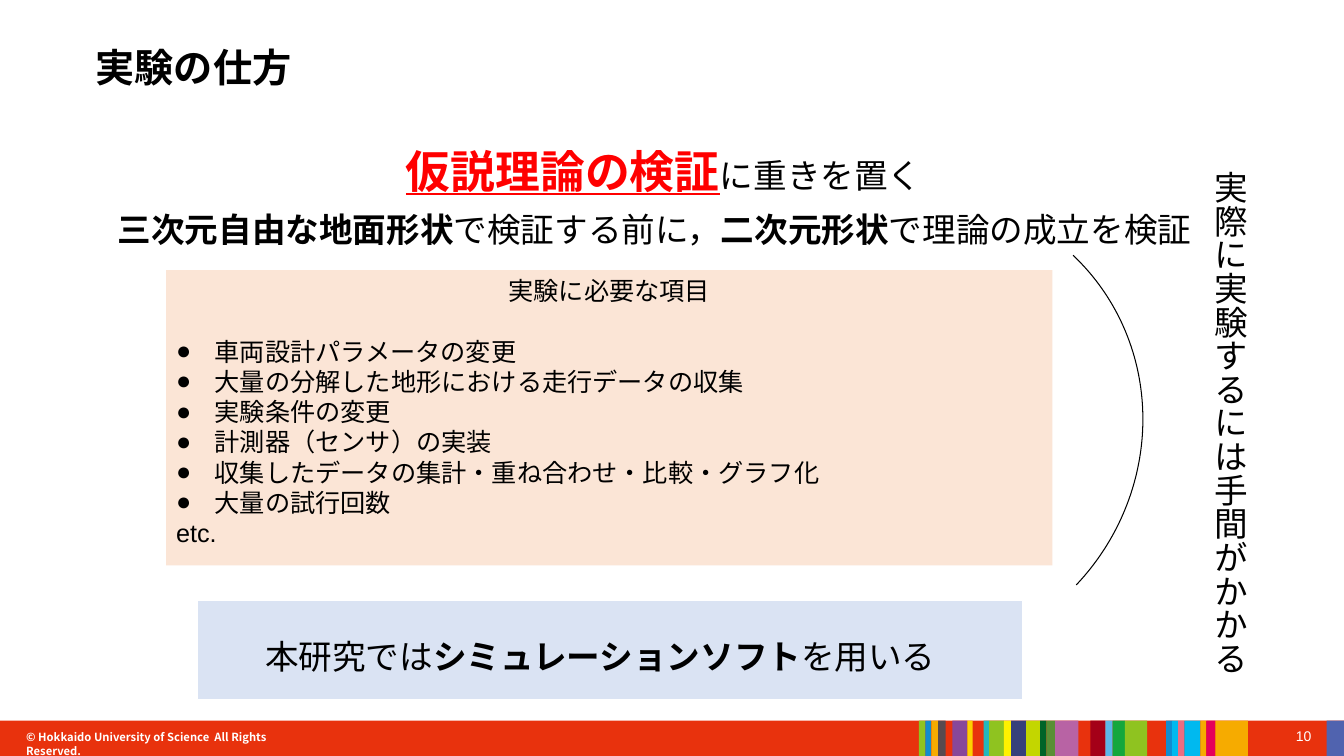
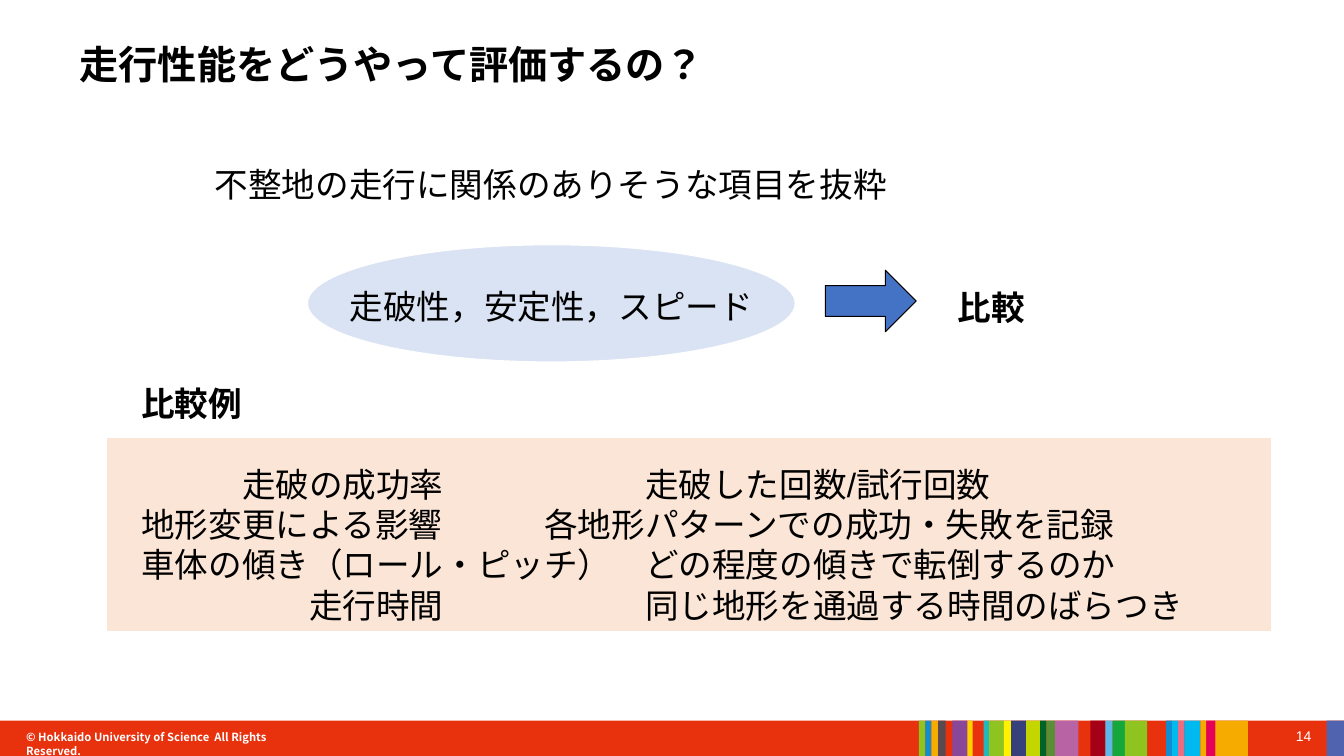
from lxml import etree
from pptx import Presentation
from pptx.dml.color import RGBColor
from pptx.enum import shapes, text
from pptx.oxml import ns
from pptx.util import Cm, Pt

WIDTH, HEIGHT = 33.87, 19.05
ARIAL, NOTO = "Arial", "Noto Sans CJK JP"
BLACK = RGBColor(0x00, 0x00, 0x00)
WHITE = RGBColor(0xFF, 0xFF, 0xFF)
RED = RGBColor(0xFF, 0x00, 0x00)
BAND = RGBColor(0xE8, 0x32, 0x0D)
PEACH = RGBColor(0xFB, 0xE5, 0xD6)
PALE_BLUE = RGBColor(0xDA, 0xE3, 0xF3)
BLUE = RGBColor(0x44, 0x72, 0xC4)
GREEN = RGBColor(0x8F, 0xC3, 0x20)
AZURE = RGBColor(0x11, 0x8C, 0xCF)
CYAN = RGBColor(0x00, 0xB9, 0xEF)
AMBER = RGBColor(0xF6, 0xAB, 0x00)

LEFT, CENTER, RIGHT = text.PP_ALIGN.LEFT, text.PP_ALIGN.CENTER, text.PP_ALIGN.RIGHT
TOP, MIDDLE = text.MSO_ANCHOR.TOP, text.MSO_ANCHOR.MIDDLE
KIND = shapes.MSO_SHAPE

BAND_TOP, BAND_HEIGHT = 18.16, 0.89
# Left edge and colour; each stripe runs to the next edge
STRIPES = [
    (23.16, GREEN), (23.32, AZURE), (23.47, AMBER),
    (23.64, RGBColor(0x58, 0x4A, 0x4F)), (23.83, BAND),
    (24.0, RGBColor(0x88, 0x47, 0x99)), (24.38, RGBColor(0xFD, 0xD1, 0x00)),
    (24.51, BAND), (24.79, RGBColor(0x23, 0xB8, 0xBC)), (24.93, GREEN),
    (25.3, RGBColor(0xFF, 0xF1, 0x00)), (25.48, RGBColor(0x36, 0x40, 0x7B)),
    (25.86, RGBColor(0xC3, 0xD6, 0x00)), (26.21, RGBColor(0x00, 0x64, 0x28)),
    (26.37, RGBColor(0x59, 0x8F, 0x35)), (26.59, RGBColor(0xB8, 0x63, 0xA4)),
    (27.18, BAND), (27.48, RGBColor(0xA4, 0x00, 0x18)),
    (27.86, RGBColor(0x5D, 0xB7, 0xE9)), (28.04, RGBColor(0x14, 0xA7, 0x3C)),
    (28.35, GREEN), (28.91, BAND), (29.39, AZURE), (29.54, CYAN),
    (29.69, RGBColor(0xEC, 0x6D, 0x81)), (29.85, CYAN), (30.25, AMBER),
    (30.4, RGBColor(0xE5, 0x00, 0x5A)), (30.63, AMBER), (31.45, BAND),
    (33.43, RGBColor(0x50, 0x63, 0xAF)), (WIDTH, BAND),
]


def add_block(slide, kind, box, fill=None, line=None):
    block = slide.shapes.add_shape(kind, *map(Cm, box))
    block.shadow.inherit = False
    if fill is None:
        block.fill.background()
    else:
        block.fill.solid()
        block.fill.fore_color.rgb = fill
    if line is None:
        block.line.fill.background()
    else:
        block.line.color.rgb = line
        block.line.width = Pt(0.75)
    return block


def format_run(run, size, bold, color, font):
    run.font.name = font
    run.font.size = Pt(size)
    run.font.bold = bold
    run.font.color.rgb = color
    # Same typeface for East Asian characters
    props = run._r.get_or_add_rPr()
    props.set("lang", "ja-JP")
    etree.SubElement(props, ns.qn("a:ea")).set("typeface", font)


def write(frame, lines, size=24, bold=False, color=BLACK, font=ARIAL,
          align=LEFT, anchor=TOP, insets=(0.25, 0.13, 0.25, 0.13)):
    """Fill a frame; a line is a string or a list of (string, bold) runs."""
    frame.word_wrap = True
    frame.vertical_anchor = anchor
    (frame.margin_left, frame.margin_top,
     frame.margin_right, frame.margin_bottom) = map(Cm, insets)
    for number, line in enumerate(lines):
        paragraph = frame.add_paragraph() if number else frame.paragraphs[0]
        paragraph.alignment = align
        pieces = [(line, bold)] if isinstance(line, str) else line
        for words, strong in pieces:
            run = paragraph.add_run()
            run.text = words
            format_run(run, size, strong, color, font)
    return frame


def add_text(slide, box, lines, **style):
    return write(slide.shapes.add_textbox(*map(Cm, box)).text_frame, lines, **style)


def indent_paragraph(paragraph, left, first=0):
    props = paragraph._p.get_or_add_pPr()
    props.set("marL", str(Cm(left)))
    props.set("indent", str(Cm(first)))
    return props


def add_bullet(paragraph, hang):
    props = indent_paragraph(paragraph, hang, -hang)
    etree.SubElement(props, ns.qn("a:buFont")).set("typeface", ARIAL)
    etree.SubElement(props, ns.qn("a:buChar")).set("char", "●")


def add_footer(slide, page):
    add_block(slide, KIND.RECTANGLE, (0, BAND_TOP, WIDTH, BAND_HEIGHT), BAND)
    for (left, color), (end, _) in zip(STRIPES, STRIPES[1:]):
        if color != BAND:
            add_block(slide, KIND.RECTANGLE,
                      (left, BAND_TOP, end - left, BAND_HEIGHT), color)
    add_text(slide, (31.6, 18.21, 1.7, 0.8), [str(page)],
             size=10, color=WHITE, align=RIGHT)
    add_text(slide, (0.66, 18.41, 6.83, 0.6),
             ["© Hokkaido University of Science  All Rights Reserved."],
             size=8, bold=True, color=WHITE, font=NOTO, insets=(0, 0, 0, 0))


def start_slide(deck, title, left, top, page):
    slide = deck.slides.add_slide(deck.slide_layouts[6])
    add_footer(slide, page)
    add_text(slide, (left, top, 29.03, 1.55), [title], size=28, bold=True,
             font=NOTO, anchor=MIDDLE, insets=(0, 0, 0, 0))
    return slide


def add_requirements(slide, box):
    items = ["車両設計パラメータの変更", "大量の分解した地形における走行データの収集",
             "実験条件の変更", "計測器（センサ）の実装",
             "収集したデータの集計・重ね合わせ・比較・グラフ化", "大量の試行回数"]
    panel = add_block(slide, KIND.RECTANGLE, box, PEACH)
    frame = write(panel.text_frame, ["実験に必要な項目", *items, "etc."], size=18)
    heading, *bullets, _ = frame.paragraphs
    heading.alignment = CENTER
    bullets[0].space_before = Pt(21.6)
    for bullet in bullets:
        add_bullet(bullet, 0.97)


def add_effort_note(slide, box):
    left, top, width, height = box
    arc = add_block(slide, KIND.ARC, (left, top + 0.61, 11.53, 11.96), line=BLACK)
    arc.rotation = 43.4
    note_width = 2.57
    note = add_text(slide, (left + width - note_width, top, note_width, height),
                    ["実際に実験するには手間がかかる"])
    note._txBody.bodyPr.set("vert", "eaVert")


def build_experiment(deck):
    slide = start_slide(deck, "実験の仕方", 2.41, 0.91, 10)
    # Policy statement
    policy = add_text(slide, (9.98, 3.5, 14, 1.63),
                      [[("仮説理論の検証", True), ("に重きを置く", False)]])
    key_phrase = policy.paragraphs[0].runs[0].font
    key_phrase.size = Pt(32)
    key_phrase.color.rgb = RED
    key_phrase.underline = True
    add_text(slide, (2.72, 5.13, 28.73, 1.27),
             [[("三次元自由な地面形状", True), ("で検証する前に，", False),
               ("二次元形状", True), ("で理論の成立を検証", False)]])
    # Requirements and the effort they cost
    add_requirements(slide, (4.19, 6.81, 22.33, 7.44))
    add_effort_note(slide, (17.17, 4.19, 14.58, 13.5))
    # Conclusion
    conclusion = add_block(slide, KIND.RECTANGLE, (4.98, 15.14, 20.78, 2.49),
                           PALE_BLUE, WHITE)
    write(conclusion.text_frame,
          [[("本研究では", False), ("シミュレーションソフト", True), ("を用いる", False)]],
          anchor=MIDDLE, insets=(1.7, 0.3, 0, 0))


def add_comparison(slide, box):
    left, top, width, height = box
    add_text(slide, (left + 0.62, top - 1.5, width, 1.27), ["比較例"], bold=True)
    # Indent and wording of each line in the two columns
    measures = [(2.54, "走破の成功率"), (0, "地形変更による影響"),
                (0, "車体の傾き（ロール・ピッチ）"), (4.23, "走行時間")]
    methods = [(2.54, "走破した回数/試行回数"), (0, "各地形パターンでの成功・失敗を記録"),
               (2.54, "どの程度の傾きで転倒するのか"),
               (2.54, "同じ地形を通過する時間のばらつき")]
    add_block(slide, KIND.RECTANGLE, box, PEACH, WHITE)
    for offset, column_width, column in ((0.87, 12.5, measures), (11.03, 18, methods)):
        frame = add_text(slide, (left + offset, top + 0.66, column_width, height - 0.66),
                         [words for _, words in column], insets=(0, 0, 0, 0))
        for paragraph, (indent, _) in zip(frame.paragraphs, column):
            indent_paragraph(paragraph, indent)


def build_evaluation(deck):
    slide = start_slide(deck, "走行性能をどうやって評価するの？", 2.01, 0.84, 14)
    # Criteria leading to the comparison
    add_text(slide, (5.08, 3.99, 17.6, 1.27),
             ["不整地の走行に関係のありそうな項目を抜粋"], align=CENTER)
    criteria = add_block(slide, KIND.OVAL, (7.75, 6.17, 12.29, 2.95), PALE_BLUE, WHITE)
    write(criteria.text_frame, ["走破性，安定性，スピード"], align=CENTER,
          anchor=MIDDLE, insets=(0, 0.15, 0, 0))
    criteria.text_frame.word_wrap = False
    add_block(slide, KIND.RIGHT_ARROW, (20.8, 6.81, 2.29, 1.55), BLUE, BLACK)
    add_text(slide, (23.88, 7.09, 2.5, 1.27), ["比較"], bold=True)
    # Comparison examples
    add_comparison(slide, (2.69, 11.02, 29.36, 4.9))


def main():
    deck = Presentation()
    deck.slide_width, deck.slide_height = Cm(WIDTH), Cm(HEIGHT)
    build_experiment(deck)
    build_evaluation(deck)
    deck.save("out.pptx")


if __name__ == "__main__":
    main()
